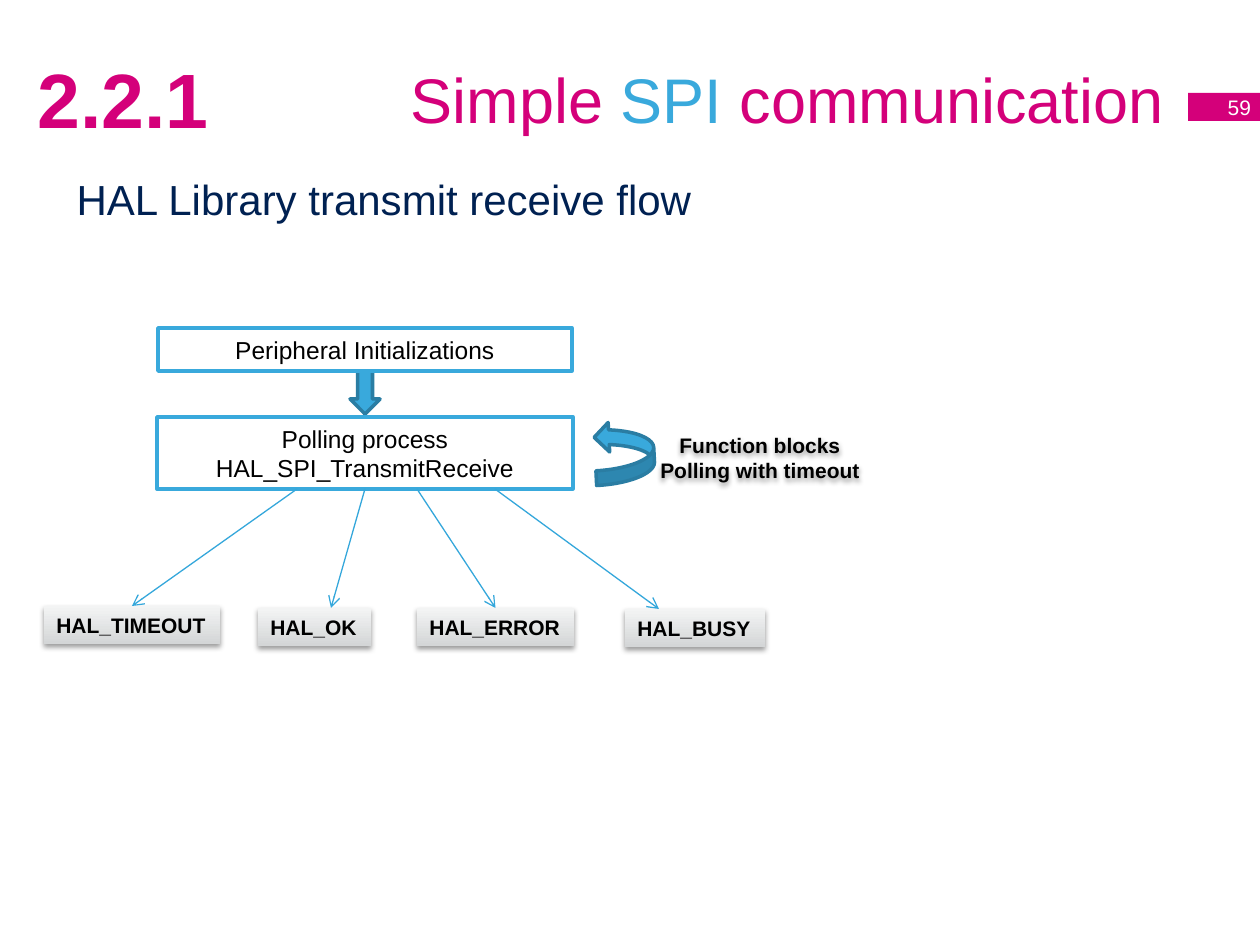
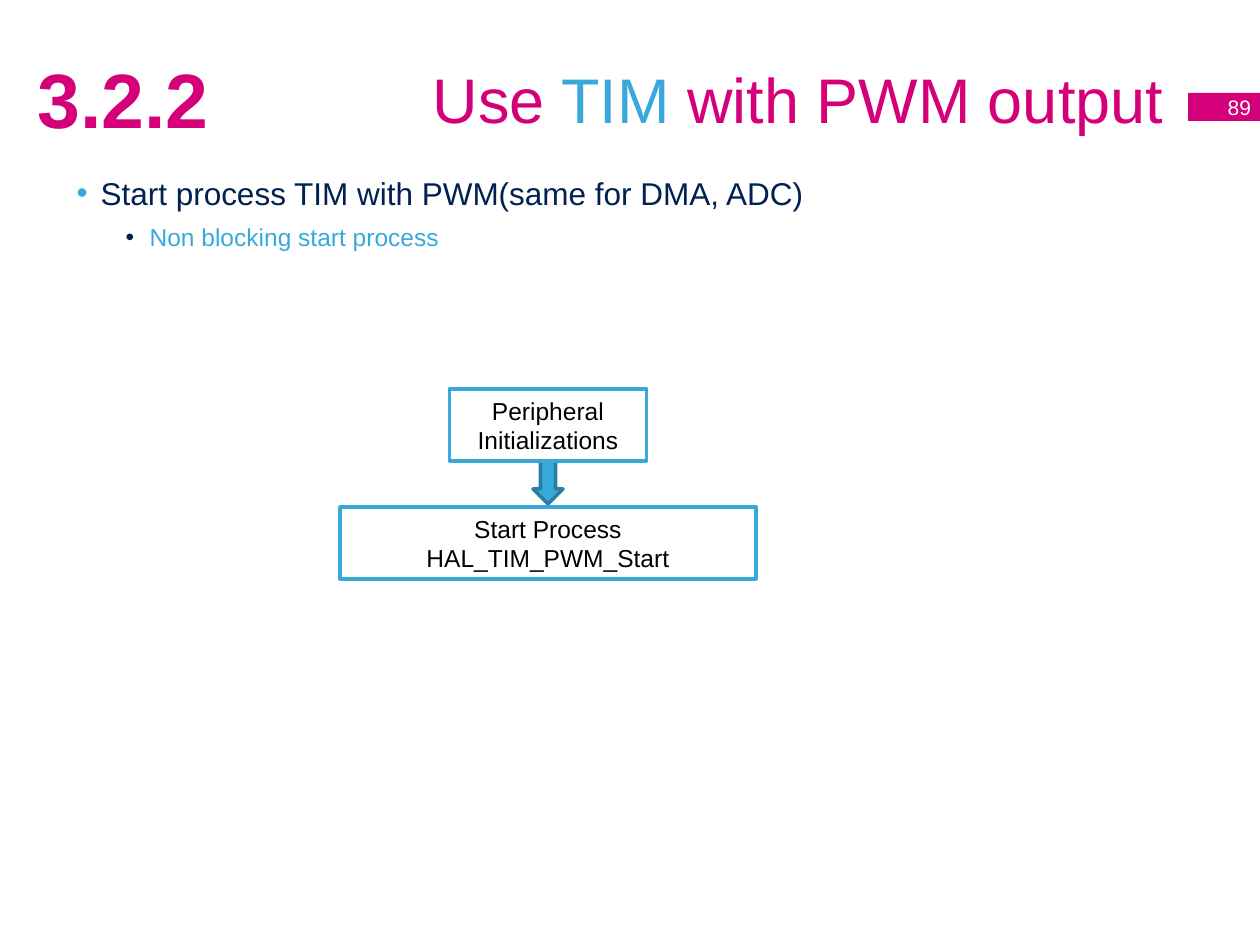
"""Build two slides on HAL process flows for SPI and TIM."""
import pptx
import pptx.dml.color
import pptx.enum.shapes
import pptx.enum.text
import pptx.oxml
import pptx.oxml.ns
import pptx.util
from lxml import etree

PX = 914400 / 126
FONT = "Arial"
PINK, BLUE, NAVY = "D4007A", "39A9DC", "002152"
BLACK, WHITE, EDGE, LINK = "000000", "FFFFFF", "2A7DA3", "34A7DB"
GREY_DARK, GREY_LIGHT = "D4D6D7", "F3F4F4"

SHAPE = pptx.enum.shapes.MSO_SHAPE
ALIGN = pptx.enum.text.PP_ALIGN
ANCHOR = pptx.enum.text.MSO_ANCHOR
A = pptx.oxml.ns.qn("a:p")[:-1]


def color(hex_string):
    return pptx.dml.color.RGBColor.from_string(hex_string)


def write(box, lines, size, hue, bold=False, align=ALIGN.LEFT, anchor=ANCHOR.MIDDLE, wrap=True):
    frame = box.text_frame
    frame.word_wrap = wrap
    frame.auto_size = pptx.enum.text.MSO_AUTO_SIZE.NONE
    frame.vertical_anchor = anchor
    frame.text = "\n".join(lines)
    for para in frame.paragraphs:
        para.alignment = align
        para.font.name = FONT
        para.font.size = pptx.util.Pt(size)
        para.font.bold = bold
        para.font.color.rgb = color(hue)


slides = [
    dict(section="2.2.1", page="59",
         title=[("Simple ", PINK), ("SPI ", BLUE), ("communication", PINK)],
         body=[("HAL Library transmit receive flow", 24, NAVY, None, 0)], body_height=176,
         center=365, top=328, first_size=(414, 43),
         process=["Polling process", "HAL_SPI_TransmitReceive"]),
    dict(section="3.2.2", page="89",
         title=[("Use", PINK), (" TIM ", BLUE), ("with PWM output", PINK)],
         body=[("Start process TIM with PWM(same for DMA, ADC)", 18, NAVY, BLUE, 24),
               ("Non blocking start process", 14, BLUE, NAVY, 73)], body_height=91,
         center=548, top=389, first_size=(197, 72),
         process=["Start Process", "HAL_TIM_PWM_Start"]),
]

deck = pptx.Presentation()
deck.slide_width = pptx.util.Inches(10)
deck.slide_height = pptx.util.Inches(7.5)
process_boxes = []

for content in slides:
    slide = deck.slides.add_slide(deck.slide_layouts[1])
    title, body = slide.placeholders
    section = slide.shapes.add_textbox(0, 0, 0, 0)
    for box, place in ((title, (63, 16, 1113, 158)),
                       (body, (64, 165, 1134, content["body_height"])),
                       (section, (25, 16, 238, 158))):
        box.left, box.top, box.width, box.height = [round(length * PX) for length in place]

    write(title, [""], 36, PINK, align=ALIGN.RIGHT)
    for text, hue in content["title"]:
        span = title.text_frame.paragraphs[0].add_run()
        span.text = text
        span.font.color.rgb = color(hue)
    write(section, [content["section"]], 44, PINK, bold=True)
    for box in (title, section):
        box.text_frame.margin_top = round(12 * PX)

    body.text_frame.vertical_anchor = ANCHOR.TOP
    body.text_frame.auto_size = pptx.enum.text.MSO_AUTO_SIZE.NONE
    body.text_frame.margin_top = round(9 * PX)
    body.text_frame.text = "\n".join(item[0] for item in content["body"])
    for level, (para, item) in enumerate(zip(body.text_frame.paragraphs, content["body"])):
        text, size, hue, bullet_hue, indent = item
        para.level = level
        para.space_before = pptx.util.Pt(0)
        para.space_after = pptx.util.Pt(6)
        settings = para._p.get_or_add_pPr()
        settings.set("marL", str(round(indent * PX)))
        settings.set("indent", str(round(-24 * PX) if bullet_hue else 0))
        if bullet_hue:
            bullet_color = etree.SubElement(settings, A + "buClr")
            etree.SubElement(bullet_color, A + "srgbClr", val=bullet_hue)
            etree.SubElement(settings, A + "buFont", typeface=FONT)
            etree.SubElement(settings, A + "buChar", char="•")
        else:
            etree.SubElement(settings, A + "buNone")
        para.font.name = FONT
        para.font.size = pptx.util.Pt(size)
        para.font.color.rgb = color(hue)

    center, top = content["center"], content["top"]
    width, height = content["first_size"]
    bottom = top + height
    parts = [
        (SHAPE.RECTANGLE, (1188, 93, 72, 28), PINK, None, [content["page"]]),
        (SHAPE.DOWN_ARROW, (center - 15, bottom, 30, 43), BLUE, EDGE, None),
        (SHAPE.RECTANGLE, (center - width / 2, top, width, height), WHITE, BLUE,
         ["Peripheral Initializations"]),
        (SHAPE.RECTANGLE, (center - 208, bottom + 46, 416, 72), WHITE, BLUE, content["process"]),
    ]
    if content is slides[0]:
        parts.append((SHAPE.CURVED_UP_ARROW, (593, 423, 63, 59), BLUE, EDGE, None))
    for kind, place, fill, edge, lines in parts:
        box = slide.shapes.add_shape(kind, *[round(length * PX) for length in place])
        box.shadow.inherit = False
        box.fill.solid()
        box.fill.fore_color.rgb = color(fill)
        if edge:
            box.line.color.rgb = color(edge)
            box.line.width = pptx.util.Pt(2)
        else:
            box.line.fill.background()
        if fill == PINK:
            write(box, lines, 12, WHITE, align=ALIGN.RIGHT, wrap=False)
            box.text_frame.margin_right = round(9 * PX)
        elif lines:
            write(box, lines, 14, BLACK, align=ALIGN.CENTER)
            process_boxes.append(box)
        if kind == SHAPE.CURVED_UP_ARROW:
            box.rotation = 267

slide = deck.slides[0]
polling = process_boxes[1]

note = slide.shapes.add_textbox(*[round(length * PX) for length in (646, 426, 228, 63)])
write(note, ["Function blocks", "Polling with timeout"], 12, BLACK, bold=True,
      align=ALIGN.CENTER, anchor=ANCHOR.TOP, wrap=False)
shadowed = [note]

results = [("HAL_TIMEOUT", 44, 606, 176, 297, 132), ("HAL_OK", 258, 608, 113, 365, 331),
           ("HAL_ERROR", 417, 608, 157, 417, 495), ("HAL_BUSY", 625, 609, 140, 495, 659)]
for name, left, top, width, start, end in results:
    box = slide.shapes.add_shape(
        SHAPE.RECTANGLE, *[round(length * PX) for length in (left, top, width, 38)])
    box.line.fill.background()
    box.fill.gradient()
    box.fill.gradient_angle = 90
    for stop, hue in zip(box.fill.gradient_stops, (GREY_DARK, GREY_LIGHT)):
        stop.color.rgb = color(hue)
    write(box, [name], 12, BLACK, bold=True, anchor=ANCHOR.TOP, wrap=False)
    shadowed.append(box)

    link = slide.shapes.add_connector(
        pptx.enum.shapes.MSO_CONNECTOR.STRAIGHT,
        *[round(length * PX) for length in (start, 489, end, top)])
    if start == 365:
        link.begin_connect(polling, 2)
    if abs(end - left - width / 2) < 2:
        link.end_connect(box, 0)
    link.line.color.rgb = color(LINK)
    link.line.width = pptx.util.Pt(0.75)
    etree.SubElement(link.line._get_or_add_ln(), A + "tailEnd", type="arrow")
    etree.SubElement(link._element.spPr, A + "effectLst")

for box in shadowed:
    box.shadow.inherit = False
    effects = box._element.spPr.find(A + "effectLst")
    shadow = etree.SubElement(effects, A + "outerShdw", blurRad="39370", dist="20320",
                              dir="5400000", rotWithShape="0")
    shade = etree.SubElement(shadow, A + "srgbClr", val=BLACK)
    etree.SubElement(shade, A + "alpha", val="38000")

deck.save("out.pptx")
